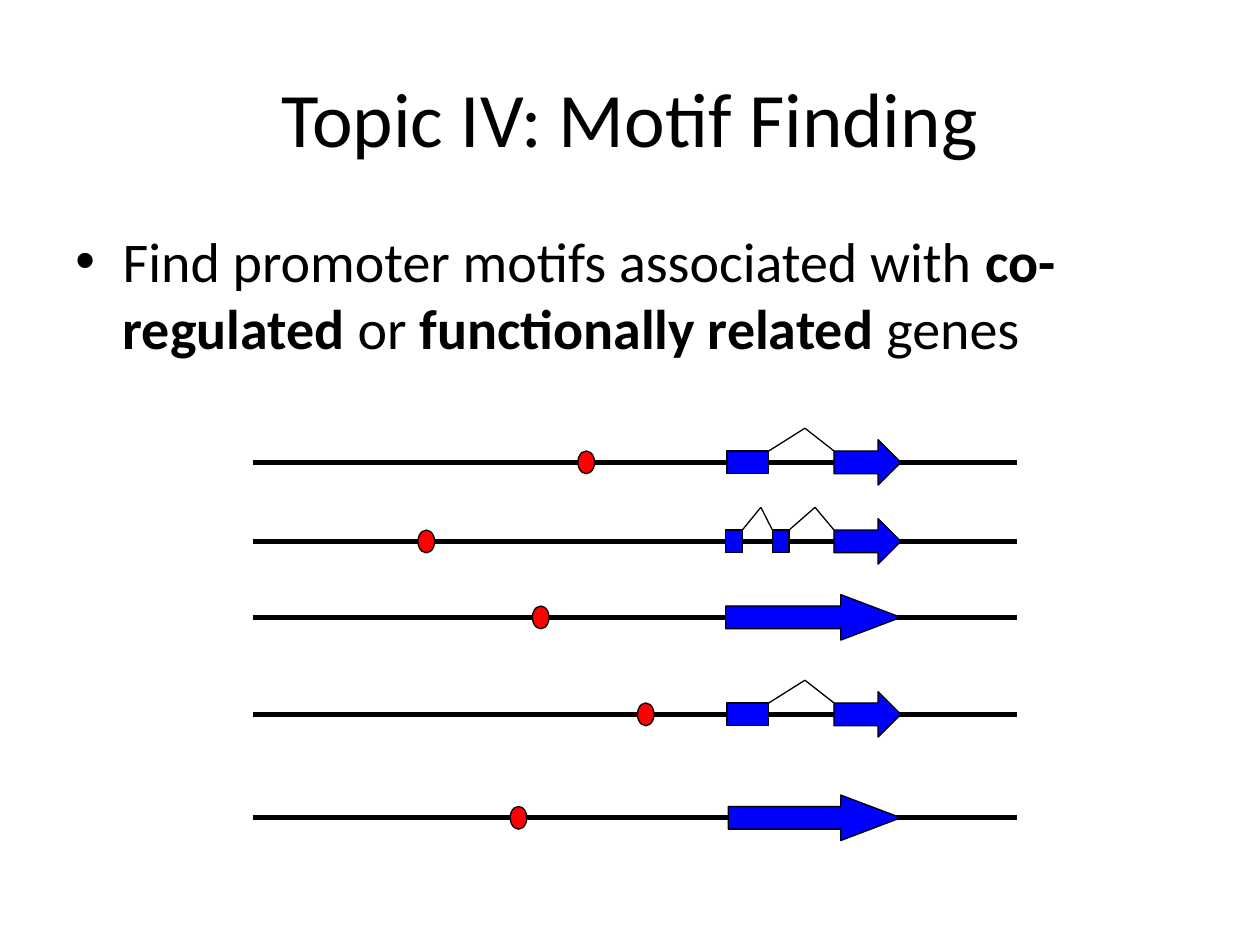
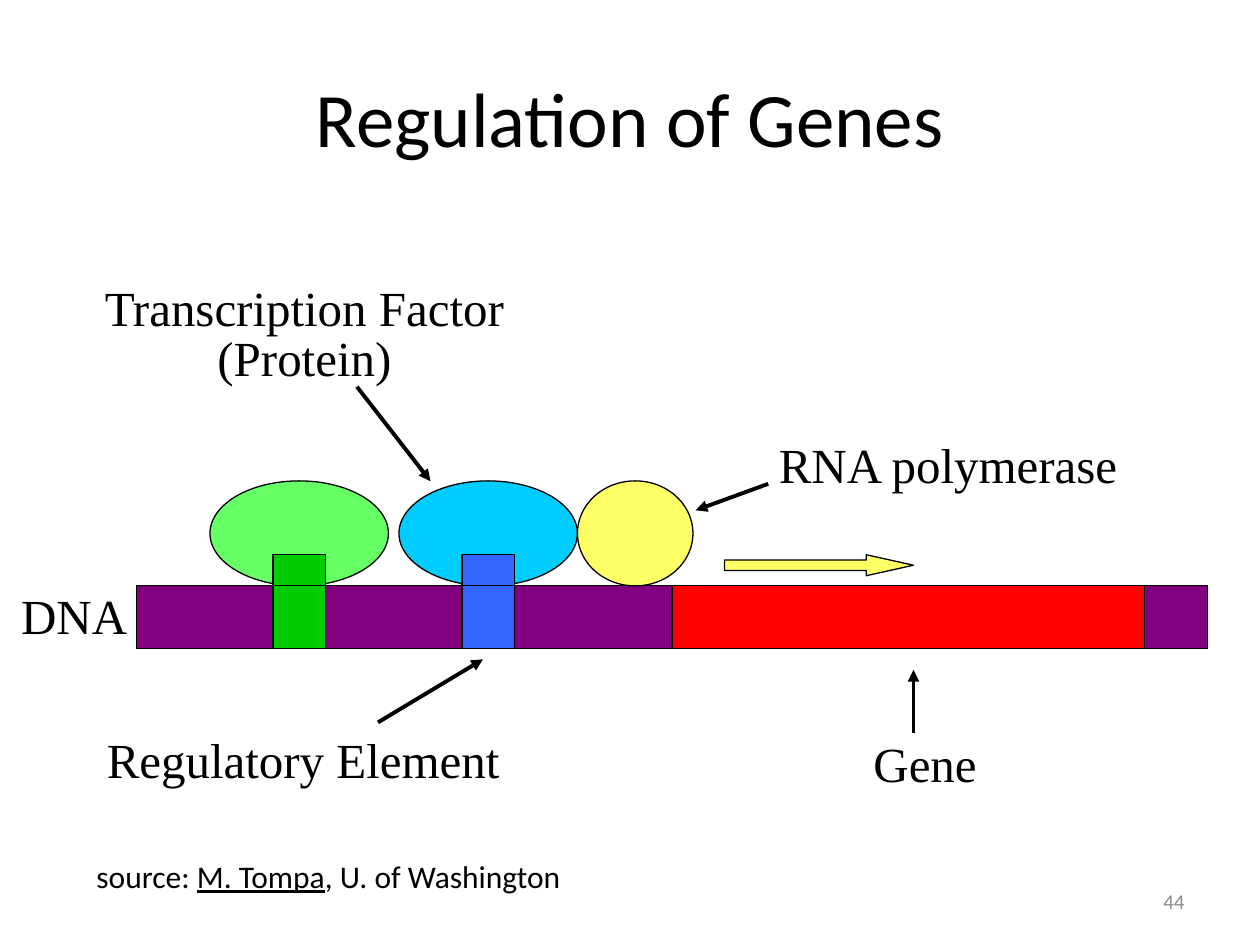
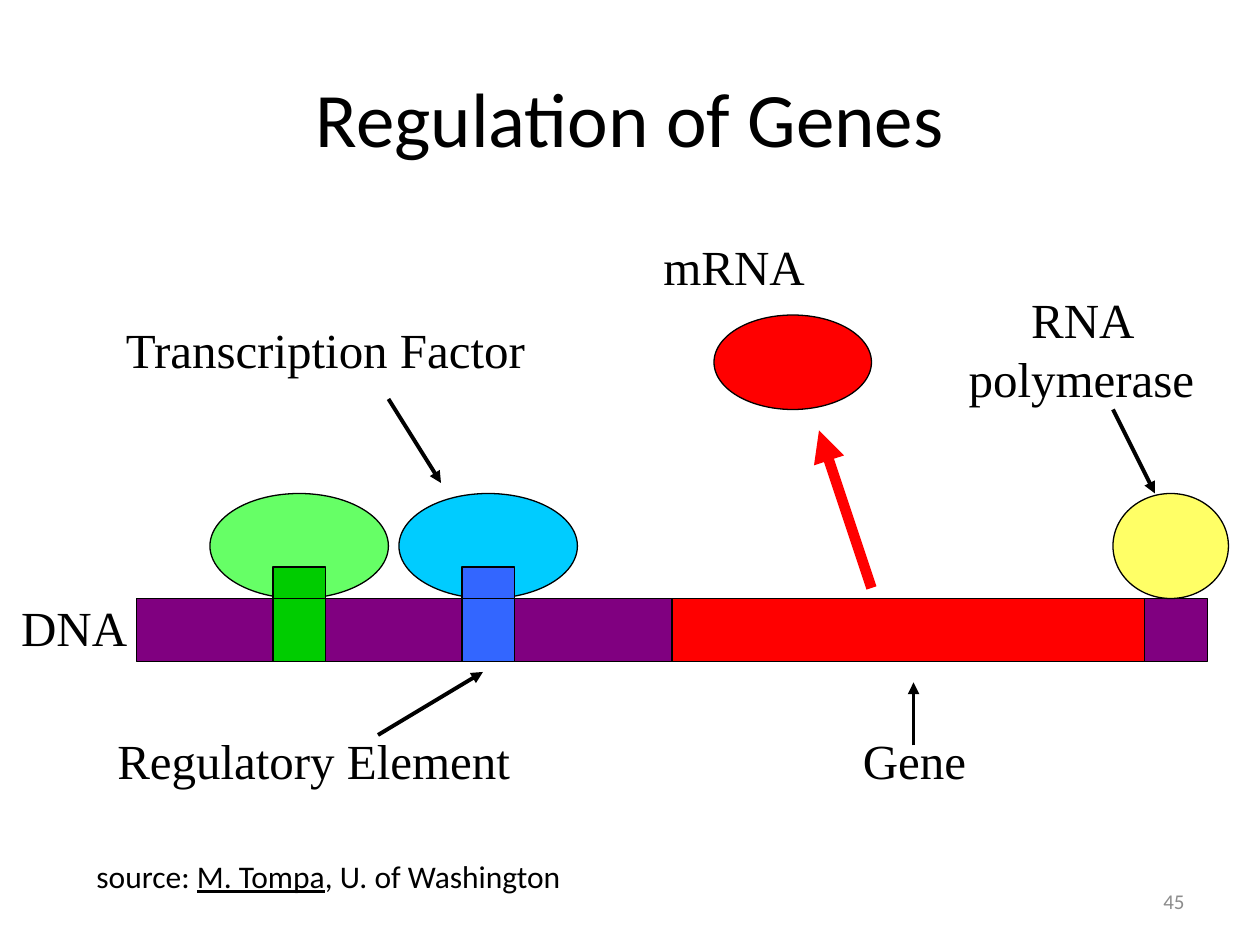
"""Build three slides on motif finding and the regulation of genes."""
from itertools import pairwise

from lxml.etree import SubElement
from pptx import Presentation
from pptx.dml.color import RGBColor
from pptx.enum.shapes import MSO_CONNECTOR as Connector, MSO_SHAPE as Shape
from pptx.enum.text import MSO_ANCHOR as Anchor, MSO_AUTO_SIZE as AutoSize, PP_ALIGN as Align
from pptx.oxml.ns import qn
from pptx.util import Pt

COLORS = {
    "ink": "000000", "number": "8C8C8C", "exon": "0000FF", "motif": "FF0000",
    "dna": "800080", "gene": "FF0000", "polymerase": "FFFF66",
    "green factor": "66FF66", "green element": "00CC00",
    "blue factor": "00CCFF", "blue element": "3366FF",
}
SANS, SERIF = "Calibri", "Times New Roman"
GENOME_LEFT, GENOME_RIGHT = 144.5, 581
GENE_END, EXON_HEIGHT = 514.8, 13
SPLICED = [(415.5, 23.8), (476.6, 38.2)]
TWICE_SPLICED = [(414.7, 9.5), (441.4, 9.5), (476.6, 38.2)]
GENOMES = [
    (264.2, 335, SPLICED),
    (309.4, 243.6, TWICE_SPLICED),
    (352.8, 309, [(414.7, 100.1)]),
    (408.2, 369, SPLICED),
    (467.3, 296.3, [(416.2, 98.6)]),
]


def color(name):
    """Return the named colour."""
    return RGBColor.from_string(COLORS[name])


def add_text(page, frame, lines, size, font=SANS, align=Align.LEFT, anchor=Anchor.TOP,
             tone="ink", wrap=True, fit=False, spacing=None):
    """Add a text box whose lines are strings or lists of (text, style) spans."""
    box = page.shapes.add_textbox(*map(Pt, frame))
    text_frame = box.text_frame
    text_frame.word_wrap = wrap
    text_frame.vertical_anchor = anchor
    text_frame.auto_size = AutoSize.SHAPE_TO_FIT_TEXT if fit else AutoSize.NONE
    for index, line in enumerate(lines):
        para = text_frame.add_paragraph() if index else text_frame.paragraphs[0]
        para.alignment = align
        if spacing:
            para.line_spacing = spacing
            para.space_before = Pt(2 if index else 0)
        for text, style in [(line, None)] if isinstance(line, str) else line:
            span = para.add_run()
            span.text = text
            span.font.name = font
            span.font.size = Pt(size)
            span.font.color.rgb = color(tone)
            if style:
                setattr(span.font, style, True)
    return box


def add_label(page, left, top, width, *lines, **options):
    """Add a diagram label in the serif face."""
    return add_text(page, (left, top, width, 41), lines, 28, SERIF, fit=True, **options)


def add_title(page, text):
    """Add the centred slide title."""
    add_text(page, (36, 21.6, 648, 90), [text], 44, align=Align.CENTER, anchor=Anchor.MIDDLE)


def add_bullet(page, frame, spans):
    """Add one bulleted paragraph."""
    box = add_text(page, frame, [spans], 32)
    properties = box.text_frame.paragraphs[0]._p.get_or_add_pPr()
    properties.set("marL", str(Pt(27)))
    properties.set("indent", str(-Pt(27)))
    SubElement(properties, qn("a:buFont")).set("typeface", "Arial")
    SubElement(properties, qn("a:buChar")).set("char", "•")


def add_figure(page, kind, frame, tone, adjustments=()):
    """Add a filled preset shape with a thin outline."""
    figure = page.shapes.add_shape(kind, *map(Pt, frame))
    figure.shadow.inherit = False
    figure.fill.solid()
    figure.fill.fore_color.rgb = color(tone)
    figure.line.color.rgb = color("ink")
    figure.line.width = Pt(0.75)
    for index, value in enumerate(adjustments):
        figure.adjustments[index] = value


def add_line(page, start, end, width=0.75, tone="ink", arrow=False):
    """Add a straight line, with an arrowhead at its end if wanted."""
    line = page.shapes.add_connector(Connector.STRAIGHT, *map(Pt, (*start, *end)))
    line.line.color.rgb = color(tone)
    line.line.width = Pt(width)
    if arrow:
        SubElement(line.line._get_or_add_ln(), qn("a:tailEnd")).set("type", "triangle")
    SubElement(line._element.spPr, qn("a:effectLst"))


def add_arrow(page, start, end, width=2.25, tone="ink"):
    """Add a line with an arrowhead."""
    add_line(page, start, end, width, tone, arrow=True)


def add_genome(page, middle, motif, exons):
    """Add a genome line with its motif, exons and introns."""
    top = middle - EXON_HEIGHT / 2
    add_line(page, (GENOME_LEFT, middle), (GENOME_RIGHT, middle), 3)
    for left, width in exons[:-1]:
        add_figure(page, Shape.RECTANGLE, (left, top, width, EXON_HEIGHT), "exon")
    left, width = exons[-1]
    head = 0.5 if len(exons) > 1 else 1.32
    add_figure(page, Shape.RIGHT_ARROW, (left, middle - EXON_HEIGHT, width, 2 * EXON_HEIGHT),
               "exon", (0.5, head))
    for (left, width), (right, _) in pairwise(exons):
        peak = ((left + width + right) / 2 + 2, top - EXON_HEIGHT)
        add_line(page, (left + width, top), peak)
        add_line(page, (right, top), peak)
    add_figure(page, Shape.OVAL, (motif - 4.75, top, 9.5, 13), "motif")


def add_regulation(page, top, polymerase_left):
    """Add the DNA strand at a height, with its bound proteins and pointers."""
    for left, width, tone in [(384, 270, "gene"), (78, 306, "dna"), (654, 36, "dna")]:
        add_figure(page, Shape.RECTANGLE, (left, top, width, 36), tone)
    for left, tone in [(120, "green"), (228, "blue")]:
        add_figure(page, Shape.OVAL, (left, top - 60, 102, 60), f"{tone} factor")
        for offset, height in [(-18, 18), (0, 36)]:
            add_figure(page, Shape.RECTANGLE, (left + 36, top + offset, 30, height),
                       f"{tone} element")
    add_figure(page, Shape.OVAL, (polymerase_left, top - 60, 66, 60), "polymerase")
    add_label(page, 5, top - 4, 75.6, "DNA", wrap=False)
    add_arrow(page, (216, top + 78), (276, top + 42))
    add_arrow(page, (522, top + 84), (522, top + 48))


def add_footer(page, number):
    """Add the source line and the slide number."""
    source = [("source: ", None), ("M. Tompa", "underline"), (", U. of Washington", None)]
    add_text(page, (48, 486, 346, 29), [source], 18, wrap=False, fit=True)
    add_text(page, (516, 500.5, 168, 28.8), [str(number)], 12, align=Align.RIGHT,
             anchor=Anchor.MIDDLE, tone="number")


def build_motif_page(page):
    """Build the slide on motif finding."""
    add_title(page, "Topic IV: Motif Finding")
    add_bullet(page, (36, 126, 648, 356.4), [
        ("Find promoter motifs associated with ", None), ("co-regulated ", "bold"),
        ("or ", None), ("functionally related ", "bold"), ("genes", None)])
    for genome in GENOMES:
        add_genome(page, *genome)


def build_binding_page(page):
    """Build the slide with the polymerase before the gene."""
    add_title(page, "Regulation of Genes")
    add_regulation(page, 334.8, 330)
    add_figure(page, Shape.RIGHT_ARROW, (414, 317, 108, 12), "polymerase", (0.5, 2.25))
    add_label(page, 48, 161.3, 252, "Transcription Factor", "(Protein)",
              align=Align.CENTER, spacing=0.8)
    add_arrow(page, (204, 221), (246, 275))
    add_label(page, 438, 244.8, 216, "RNA polymerase")
    add_arrow(page, (439, 276.5), (397.5, 291.6))
    add_label(page, 54, 413.3, 258, "Regulatory Element")
    add_label(page, 492, 415.4, 73.4, "Gene", wrap=False)
    add_footer(page, 44)


def build_transcription_page(page):
    """Build the slide with the polymerase after the gene."""
    add_title(page, "Regulation of Genes")
    add_regulation(page, 342, 636)
    add_label(page, 60, 185.8, 252, "Transcription Factor", align=Align.CENTER, spacing=0.8)
    add_arrow(page, (222, 228), (252, 276))
    add_label(page, 540, 162, 156, "RNA polymerase", align=Align.CENTER)
    add_arrow(page, (636, 234), (660, 282))
    add_label(page, 372, 131.8, 96.5, "mRNA", wrap=False)
    add_figure(page, Shape.OVAL, (408, 180, 90, 54), "gene")
    add_arrow(page, (498, 336), (468, 246), 6, "gene")
    add_label(page, 60, 414, 252, "Regulatory Element")
    add_label(page, 486, 414, 73.4, "Gene", wrap=False)
    add_footer(page, 45)


def main():
    """Build and save the deck."""
    deck = Presentation()
    deck.slide_width, deck.slide_height = Pt(720), Pt(540)
    for build in (build_motif_page, build_binding_page, build_transcription_page):
        build(deck.slides.add_slide(deck.slide_layouts[6]))
    deck.save("out.pptx")


if __name__ == "__main__":
    main()
